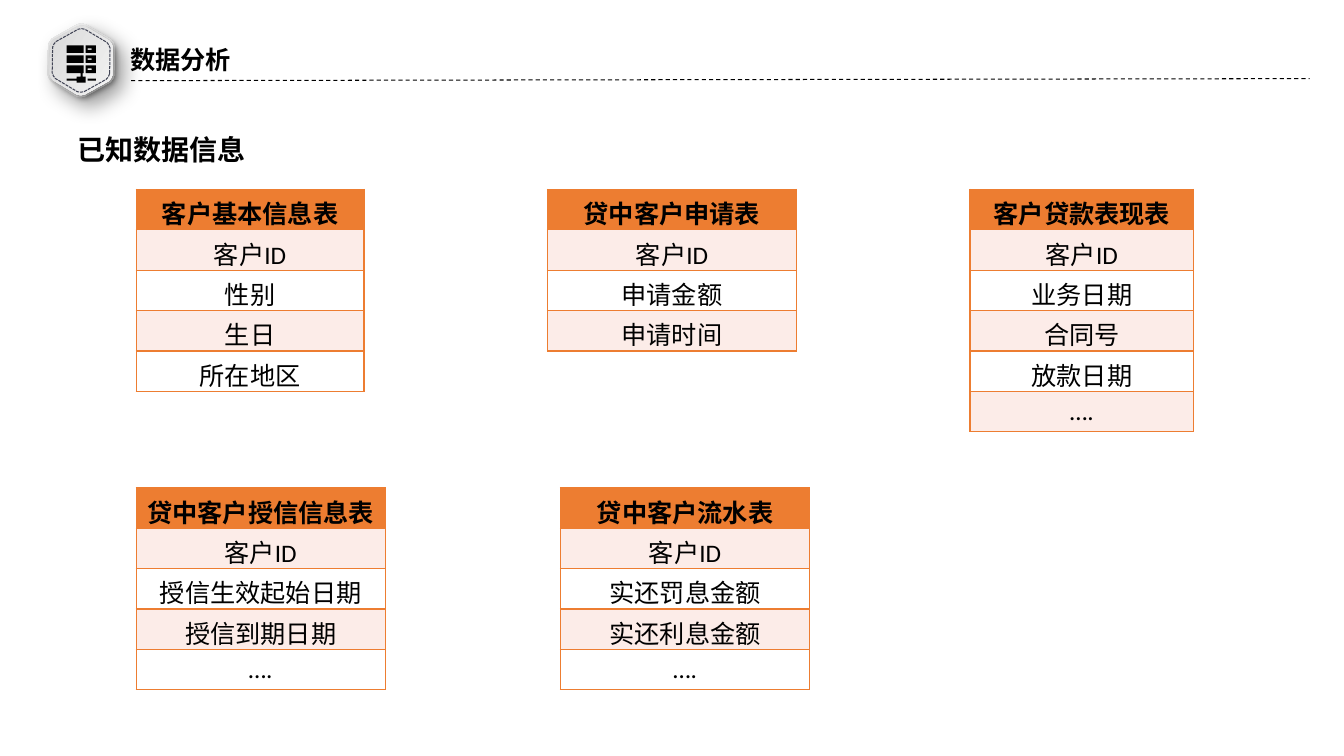
from dataclasses import dataclass
from math import cos, radians, sin

from lxml.etree import SubElement
from pptx import Presentation
from pptx.dml.color import RGBColor
from pptx.enum.dml import MSO_LINE
from pptx.enum.shapes import MSO_CONNECTOR
from pptx.enum.text import MSO_ANCHOR, MSO_AUTO_SIZE, PP_ALIGN
from pptx.oxml.ns import qn
from pptx.util import Inches, Pt


@dataclass(frozen=True)
class Theme:
    ink: str = "000000"
    head: str = "ED7D31"
    band: str = "FCECE8"
    plain: str = "FFFFFF"
    dark: str = "D3D3D3"
    light: str = "F9F9F9"
    dash: str = "414455"
    font: str = "Calibri"
    sub_font: str = "Noto Sans CJK SC"
    size: int = 18
    sub_size: int = 20
    thin: float = 0.75


def rgb(code):
    return RGBColor.from_string(code)


class Page:
    """Lengths are cells of a square grid with 75 rows down the slide."""

    def __init__(self, deck, theme):
        self.theme = theme
        self.cell = deck.slide_height / 75
        self.slide = deck.slides.add_slide(deck.slide_layouts[5])
        self.shapes = self.slide.shapes

    def emu(self, *cells):
        return [round(c * self.cell) for c in cells]

    def style(self, para, font, size, bold, align):
        para.alignment = align
        para.font.name = font
        para.font.size = Pt(size)
        para.font.bold = bold
        para.font.color.rgb = rgb(self.theme.ink)

    def title(self, text, box):
        shape = self.shapes.title
        shape.left, shape.top, shape.width, shape.height = self.emu(*box)
        frame = shape.text_frame
        frame.text = text
        frame.word_wrap = True
        frame.auto_size = MSO_AUTO_SIZE.SHAPE_TO_FIT_TEXT
        frame.vertical_anchor = MSO_ANCHOR.TOP
        frame.margin_left = frame.margin_right = Inches(0.07)
        frame.margin_top = frame.margin_bottom = Inches(0.04)
        self.style(frame.paragraphs[0], self.theme.font, self.theme.size,
                   True, PP_ALIGN.LEFT)

    def label(self, text, box):
        frame = self.shapes.add_textbox(*self.emu(*box)).text_frame
        frame.text = text
        frame.word_wrap = False
        frame.vertical_anchor = MSO_ANCHOR.MIDDLE
        self.style(frame.paragraphs[0], self.theme.sub_font,
                   self.theme.sub_size, True, PP_ALIGN.LEFT)

    def border(self, cell):
        props = cell._tc.get_or_add_tcPr()
        for side in ("lnL", "lnR", "lnT", "lnB"):
            line = SubElement(props, qn(f"a:{side}"), w=str(Pt(1)))
            fill = SubElement(line, qn("a:solidFill"))
            SubElement(fill, qn("a:srgbClr"), val=self.theme.head)

    def table(self, left, top, width, names, row=4):
        box = self.emu(left, top, width, row * len(names))
        table = self.shapes.add_table(len(names), 1, *box).table
        table.first_row = table.horz_banding = False
        for i, name in enumerate(names):
            cell = table.cell(i, 0)
            cell.text = name
            self.border(cell)
            cell.fill.solid()
            tone = (self.theme.plain, self.theme.band)[i % 2]
            cell.fill.fore_color.rgb = rgb(tone if i else self.theme.head)
            self.style(cell.text_frame.paragraphs[0], self.theme.font,
                       self.theme.size, i == 0, PP_ALIGN.CENTER)

    def outline(self, shapes, *loops):
        first, *rest = [[self.emu(*point) for point in loop] for loop in loops]
        pen = shapes.build_freeform(*first[0])
        pen.add_line_segments(first[1:])
        for loop in rest:
            pen.move_to(*loop[0])
            pen.add_line_segments(loop[1:])
        shape = pen.convert_to_shape()
        shape.shadow.inherit = False
        return shape

    def hexagon(self, shapes, mid, radius):
        points = []
        for corner in range(0, 360, 60):
            for turn, share in ((-6, 0.99), (0, 1), (6, 0.99)):
                angle = radians(corner + turn)
                points.append((mid[0] + radius * share * cos(angle),
                               mid[1] + radius * share * sin(angle)))
        shape = self.outline(shapes, points)
        shape.rotation = 30.9
        return shape

    def badge(self, mid):
        shapes = self.shapes.add_group_shape().shapes
        # Two raised plates: radius, gradient angle, shadow blur and distance
        for radius, angle, blur, far in ((3.65, 90, 15, 9), (3.45, 0, 4, 3)):
            plate = self.hexagon(shapes, mid, radius)
            plate.line.fill.background()
            plate.fill.gradient()
            plate.fill.gradient_angle = angle
            tones = (self.theme.dark, self.theme.light)
            for stop, tone in zip(plate.fill.gradient_stops, tones):
                stop.color.rgb = rgb(tone)
            self.shade(plate, blur, far)
        # Dashed rim
        rim = self.hexagon(shapes, mid, 3.15)
        rim.fill.background()
        self.stroke(rim.line, self.theme.dash, MSO_LINE.SQUARE_DOT)

    def shade(self, shape, blur, far):
        effects = shape._element.spPr.find(qn("a:effectLst"))
        outer = SubElement(effects, qn("a:outerShdw"), blurRad=str(Pt(blur)),
                           dist=str(Pt(far)), dir="2700000", algn="tl",
                           rotWithShape="0")
        tint = SubElement(outer, qn("a:srgbClr"), val=self.theme.ink)
        SubElement(tint, qn("a:alpha"), val="40000")

    def stroke(self, line, tone, dash):
        line.color.rgb = rgb(tone)
        line.width = Pt(self.theme.thin)
        line.dash_style = dash

    def server(self, left, top):
        def block(x, y, wide, high):
            x, y = left + x, top + y
            return [(x, y), (x + wide, y), (x + wide, y + high),
                    (x, y + high), (x, y)]

        loops = []
        for y in (0, 1, 2):
            loops += [block(0, y, 1.7, 0.75), block(1.9, y, 1, 0.75),
                      block(2.1, y + 0.3, 0.4, 0.15)]
        # Stem, foot and the wires beside it
        loops += [block(1.4, 2.75, 0.2, 0.35), block(1, 3.1, 0.9, 0.6),
                  block(0, 3.3, 1, 0.2), block(2.1, 3.3, 0.8, 0.2)]
        shape = self.outline(self.shapes, *loops)
        shape.fill.solid()
        shape.fill.fore_color.rgb = rgb(self.theme.ink)
        shape.line.fill.background()

    def rule(self, *ends):
        line = self.shapes.add_connector(MSO_CONNECTOR.STRAIGHT,
                                         *self.emu(*ends))
        self.stroke(line.line, self.theme.ink, MSO_LINE.DASH)
        SubElement(line._element.spPr, qn("a:effectLst"))


def main():
    deck = Presentation()
    deck.slide_width, deck.slide_height = Inches(13.33), Inches(7.5)
    page = Page(deck, Theme())

    # Headings
    page.title("数据分析", (12.2, 4, 20.5, 3.8))
    page.label("已知数据信息", (6.7, 12.5, 31.5, 4.6))

    # Data tables in two rows
    upper, lower = 18.8, 48.4
    key = "客户ID"
    for left, top, width, names in (
        (13.5, upper, 22.6, ("客户基本信息表", key, "性别", "生日", "所在地区")),
        (96.2, upper, 22.2, ("客户贷款表现表", key, "业务日期", "合同号",
                             "放款日期", "….")),
        (13.5, lower, 24.7, ("贷中客户授信信息表", key, "授信生效起始日期",
                             "授信到期日期", "….")),
        (55.6, lower, 24.7, ("贷中客户流水表", key, "实还罚息金额",
                             "实还利息金额", "….")),
        (54.3, upper, 24.7, ("贷中客户申请表", key, "申请金额", "申请时间")),
    ):
        page.table(left, top, width, names)

    # Badge and header rule
    page.badge((8.05, 6))
    page.server(6.6, 4.5)
    page.rule(13, 8, 129.9, 7.8)
    deck.save("out.pptx")


if __name__ == "__main__":
    main()
